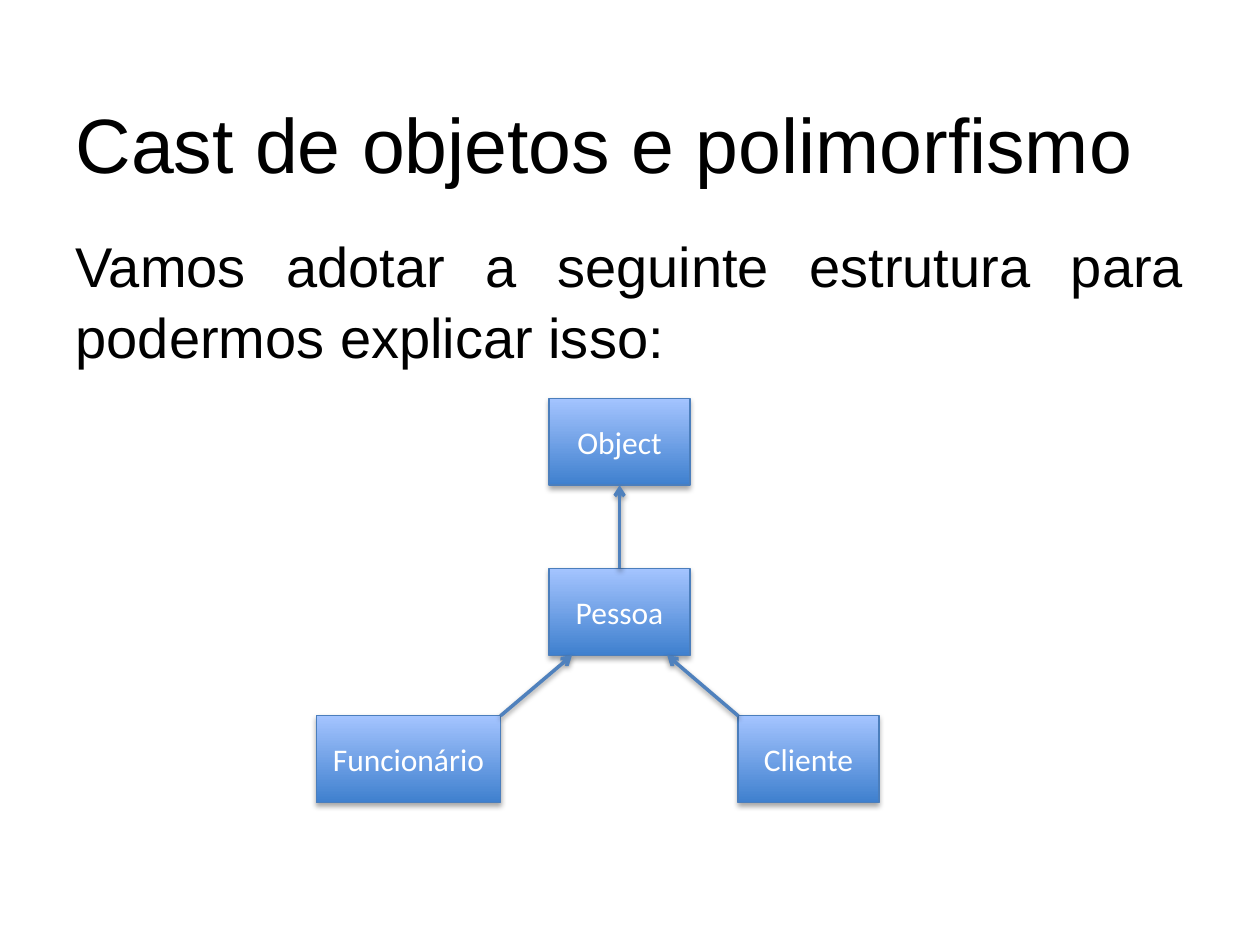
import pptx
import pptx.dml.color
import pptx.enum.shapes
import pptx.enum.text
import pptx.oxml
import pptx.oxml.ns
import pptx.util
from pptx.dml.color import RGBColor
from pptx.enum.text import MSO_ANCHOR, PP_ALIGN
from pptx.util import Cm

BLACK = RGBColor(0x00, 0x00, 0x00)
WHITE = RGBColor(0xFF, 0xFF, 0xFF)
BOX_DARK = RGBColor(0x3F, 0x80, 0xCE)
BOX_LIGHT = RGBColor(0xA4, 0xC4, 0xFF)
BOX_LINE = RGBColor(0x4B, 0x7E, 0xBC)
ARROW = RGBColor(0x4F, 0x81, 0xBD)

TITLE = "Cast de objetos e polimorfismo"
INTRO = "Vamos adotar a seguinte estrutura para podermos explicar isso:"
# class name: left, top, width in cm
CLASSES = {
    "Object": (11.07, 8.03, 2.84),
    "Pessoa": (11.07, 11.46, 2.84),
    "Cliente": (14.88, 14.43, 2.84),
    "Funcionário": (6.38, 14.43, 3.71),
}
BOX_HEIGHT = Cm(1.75)
ARROW_INSET = Cm(0.46)  # from Pessoa's lower corners to the arrow tips


def write(shape, text, *, font, size, color, align, anchor):
    frame = shape.text_frame
    frame.word_wrap = True
    frame.auto_size = pptx.enum.text.MSO_AUTO_SIZE.NONE
    frame.vertical_anchor = anchor
    frame.text = text
    paragraph = frame.paragraphs[0]
    paragraph.alignment = align
    run_font = paragraph.runs[0].font
    run_font.name = font
    run_font.size = pptx.util.Pt(size)
    run_font.color.rgb = color
    return paragraph


def place(shape, left, top, width, height):
    shape.left, shape.top = Cm(left), Cm(top)
    shape.width, shape.height = Cm(width), Cm(height)


def add_shadow(shape, distance, opacity):
    """Give a soft shadow straight below; distance in points, opacity in percent."""
    shape._element.spPr.append(pptx.oxml.parse_xml(
        f'<a:effectLst {pptx.oxml.ns.nsdecls("a")}>'
        f'<a:outerShdw blurRad="{pptx.util.Pt(3.1)}" dist="{pptx.util.Pt(distance)}" '
        'dir="5400000" rotWithShape="0"><a:srgbClr val="000000">'
        f'<a:alpha val="{opacity * 1000}"/></a:srgbClr></a:outerShdw></a:effectLst>'))


def add_class_box(slide, name, left, top, width):
    box = slide.shapes.add_shape(pptx.enum.shapes.MSO_SHAPE.RECTANGLE,
                                 Cm(left), Cm(top), Cm(width), BOX_HEIGHT)
    box.fill.gradient()
    box.fill.gradient_angle = 90
    for stop, position, color in zip(box.fill.gradient_stops, (0, 1),
                                     (BOX_DARK, BOX_LIGHT)):
        stop.position = position
        stop.color.rgb = color
    box.line.color.rgb = BOX_LINE
    box.line.width = pptx.util.Pt(0.75)
    add_shadow(box, 1.8, 35)
    write(box, name, font="Calibri", size=18, color=WHITE,
          align=PP_ALIGN.CENTER, anchor=MSO_ANCHOR.MIDDLE)
    # Let the longest class name stay on one line
    box.text_frame.word_wrap = False
    return box


def add_arrow(slide, start, end):
    arrow = slide.shapes.add_connector(
        pptx.enum.shapes.MSO_CONNECTOR.STRAIGHT, *start, *end)
    arrow.line.color.rgb = ARROW
    arrow.line.width = pptx.util.Pt(2)
    arrow._element.spPr.find(pptx.oxml.ns.qn("a:ln")).append(pptx.oxml.parse_xml(
        f'<a:tailEnd {pptx.oxml.ns.nsdecls("a")} type="arrow"/>'))
    add_shadow(arrow, 1.6, 38)
    return arrow


def main():
    deck = pptx.Presentation()
    deck.slide_width, deck.slide_height = Cm(25.4), Cm(19.05)
    slide = deck.slides.add_slide(deck.slide_layouts[1])

    title, intro = slide.placeholders
    place(title, 1.27, 0.76, 22.86, 3.18)
    write(title, TITLE, font="Arial", size=44, color=BLACK,
          align=PP_ALIGN.LEFT, anchor=MSO_ANCHOR.BOTTOM)
    place(intro, 1.27, 4.45, 22.86, 12.57)
    paragraph = write(intro, INTRO, font="Arial", size=32, color=BLACK,
                      align=PP_ALIGN.JUSTIFY, anchor=MSO_ANCHOR.TOP)
    paragraph.line_spacing = 1.06
    paragraph.space_before = pptx.util.Pt(0)
    paragraph.space_after = pptx.util.Pt(18)
    properties = paragraph._p.get_or_add_pPr()
    properties.set("marL", "0")
    properties.set("indent", "0")
    properties.append(pptx.oxml.parse_xml(
        f'<a:buNone {pptx.oxml.ns.nsdecls("a")}/>'))

    boxes = {name: add_class_box(slide, name, *spot)
             for name, spot in CLASSES.items()}
    base, person = boxes["Object"], boxes["Pessoa"]
    employee, client = boxes["Funcionário"], boxes["Cliente"]

    middle = person.left + person.width // 2
    inherits = add_arrow(slide, (middle, person.top),
                         (middle, base.top + base.height))
    inherits.begin_connect(person, 0)
    inherits.end_connect(base, 2)

    person_bottom = person.top + person.height
    add_arrow(slide, (employee.left + employee.width, employee.top),
              (person.left + ARROW_INSET, person_bottom))
    add_arrow(slide, (client.left, client.top),
              (person.left + person.width - ARROW_INSET, person_bottom))

    deck.save("out.pptx")


if __name__ == "__main__":
    main()
